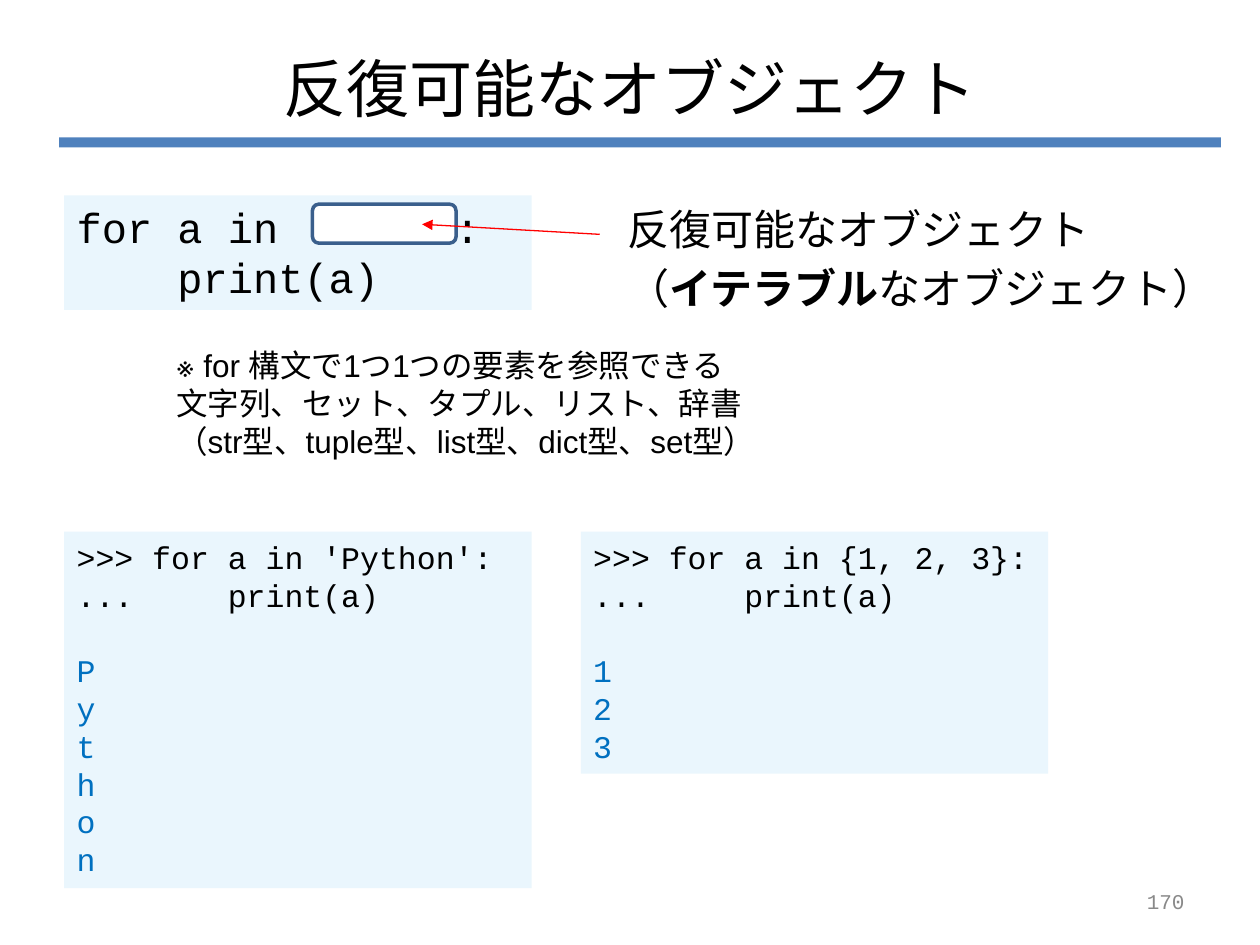
from dataclasses import dataclass

from pptx import Presentation
from pptx.dml.color import RGBColor
from pptx.enum.shapes import MSO_CONNECTOR, MSO_SHAPE
from pptx.enum.text import MSO_ANCHOR, PP_ALIGN
from pptx.oxml.ns import qn
from pptx.util import Inches, Pt

COLUMNS, ROWS = 100, 75


@dataclass(frozen=True)
class Theme:
    ink: str = "000000"
    rule: str = "4F81BD"
    panel: str = "EAF6FD"
    blank: str = "FFFFFF"
    blank_edge: str = "3A5F8C"
    arrow: str = "FF0000"
    output: str = "0070C0"
    muted: str = "898989"
    sans: str = "Arial"
    mono: str = "Courier New"
    japanese: str = "Noto Sans CJK JP"
    title: int = 36
    large: int = 24
    body: int = 18
    small: int = 12


def write(paragraph, text, *, font, size, color, east_asian, bold=False):
    run = paragraph.add_run()
    run.text = text
    run.font.name = font
    run.font.size = Pt(size)
    run.font.bold = bold
    run.font.color.rgb = RGBColor.from_string(color)
    properties = run._r.get_or_add_rPr()
    script = properties.makeelement(qn("a:ea"), {"typeface": east_asian})
    properties.find(qn("a:latin")).addnext(script)


class SlideBuilder:
    def __init__(self, presentation, theme):
        self.theme = theme
        self.width = presentation.slide_width
        self.height = presentation.slide_height
        self.slide = presentation.slides.add_slide(presentation.slide_layouts[5])

    def area(self, column, row, columns, rows):
        return (
            round(column * self.width / COLUMNS),
            round(row * self.height / ROWS),
            round(columns * self.width / COLUMNS),
            round(rows * self.height / ROWS),
        )

    def fill_text(self, frame, lines, *, size, font=None, color=None,
                  align=PP_ALIGN.LEFT, anchor=MSO_ANCHOR.TOP, gap=0):
        frame.word_wrap = True
        frame.vertical_anchor = anchor
        for index, line in enumerate(lines):
            paragraph = frame.paragraphs[0] if index == 0 else frame.add_paragraph()
            paragraph.alignment = align
            if index and gap:
                paragraph.space_before = Pt(gap)
            pieces = [(line, False)] if isinstance(line, str) else line
            for text, bold in pieces:
                write(paragraph, text, font=font or self.theme.sans, size=size,
                      color=color or self.theme.ink, bold=bold,
                      east_asian=self.theme.japanese)

    def title(self, text, *place):
        heading = self.slide.shapes.title
        heading.left, heading.top, heading.width, heading.height = self.area(*place)
        self.fill_text(heading.text_frame, [text], size=self.theme.title,
                       align=PP_ALIGN.CENTER, anchor=MSO_ANCHOR.MIDDLE)

    def text(self, lines, *place, **style):
        box = self.slide.shapes.add_textbox(*self.area(*place))
        self.fill_text(box.text_frame, lines, **style)

    def block(self, *place, fill, edge=None, kind=MSO_SHAPE.RECTANGLE):
        block = self.slide.shapes.add_shape(kind, *self.area(*place))
        block.shadow.inherit = False
        block.fill.solid()
        block.fill.fore_color.rgb = RGBColor.from_string(fill)
        if edge:
            block.line.color.rgb = RGBColor.from_string(edge)
            block.line.width = Pt(2)
        else:
            block.line.fill.background()
        return block

    def code(self, source, *place, size, output=()):
        panel = self.block(*place, fill=self.theme.panel)
        frame = panel.text_frame
        self.fill_text(frame, source, size=size, font=self.theme.mono)
        for index, value in enumerate(output):
            paragraph = frame.add_paragraph()
            paragraph.alignment = PP_ALIGN.LEFT
            if index == 0:
                paragraph.space_before = Pt(size * 1.2)
            write(paragraph, value, font=self.theme.mono, size=size,
                  color=self.theme.output, east_asian=self.theme.japanese)

    def arrow(self, start, end):
        line = self.slide.shapes.add_connector(
            MSO_CONNECTOR.STRAIGHT, *self.area(*start, *end))
        line.line.color.rgb = RGBColor.from_string(self.theme.arrow)
        line.line.width = Pt(0.75)
        outline = line.line._get_or_add_ln()
        outline.append(outline.makeelement(qn("a:tailEnd"), {"type": "triangle"}))
        outline.addnext(outline.makeelement(qn("a:effectLst"), {}))


def main():
    presentation = Presentation()
    presentation.slide_width = Inches(10)
    presentation.slide_height = Inches(7.5)
    theme = Theme()
    page = SlideBuilder(presentation, theme)
    left, right, panel_width, sessions_top = 5.1, 46.1, 37.1, 42.2

    page.block(4.7, 10.9, 92.2, 0.8, fill=theme.rule)
    page.title("反復可能なオブジェクト", 5, 3, 90, 7.9)

    page.code(["for a in       :", "    print(a)"],
              left, 15.5, panel_width, 9.1, size=theme.large)
    page.block(24.8, 16.2, 11.4, 3.1, fill=theme.blank, edge=theme.blank_edge,
               kind=MSO_SHAPE.ROUNDED_RECTANGLE)
    page.arrow((47.6, 18.6), (33.5, 17.8))
    page.text(["反復可能なオブジェクト",
               [("（", False), ("イテラブル", True), ("なオブジェクト）", False)]],
              48.8, 15.7, 52.8, 22.4, size=theme.large, font=theme.japanese,
              gap=theme.large * 0.2)

    loops = [
        (left, 28.3, "'Python'", "Python"),
        (right, 19.2, "{1, 2, 3}", "123"),
    ]
    for column, rows, iterable, output in loops:
        page.code([f">>> for a in {iterable}:", "...     print(a)"],
                  column, sessions_top, panel_width, rows,
                  size=theme.body, output=output)

    page.text(["※ for 構文で1つ1つの要素を参照できる",
               "文字列、セット、タプル、リスト、辞書",
               "（str型、tuple型、list型、dict型、set型）"],
              13, 27, 50, 11.1, size=theme.body)
    page.text(["170"], 71.7, 69.5, 23.3, 4, size=theme.small, font=theme.mono,
              color=theme.muted, align=PP_ALIGN.RIGHT, anchor=MSO_ANCHOR.MIDDLE)

    presentation.save("out.pptx")


if __name__ == "__main__":
    main()
